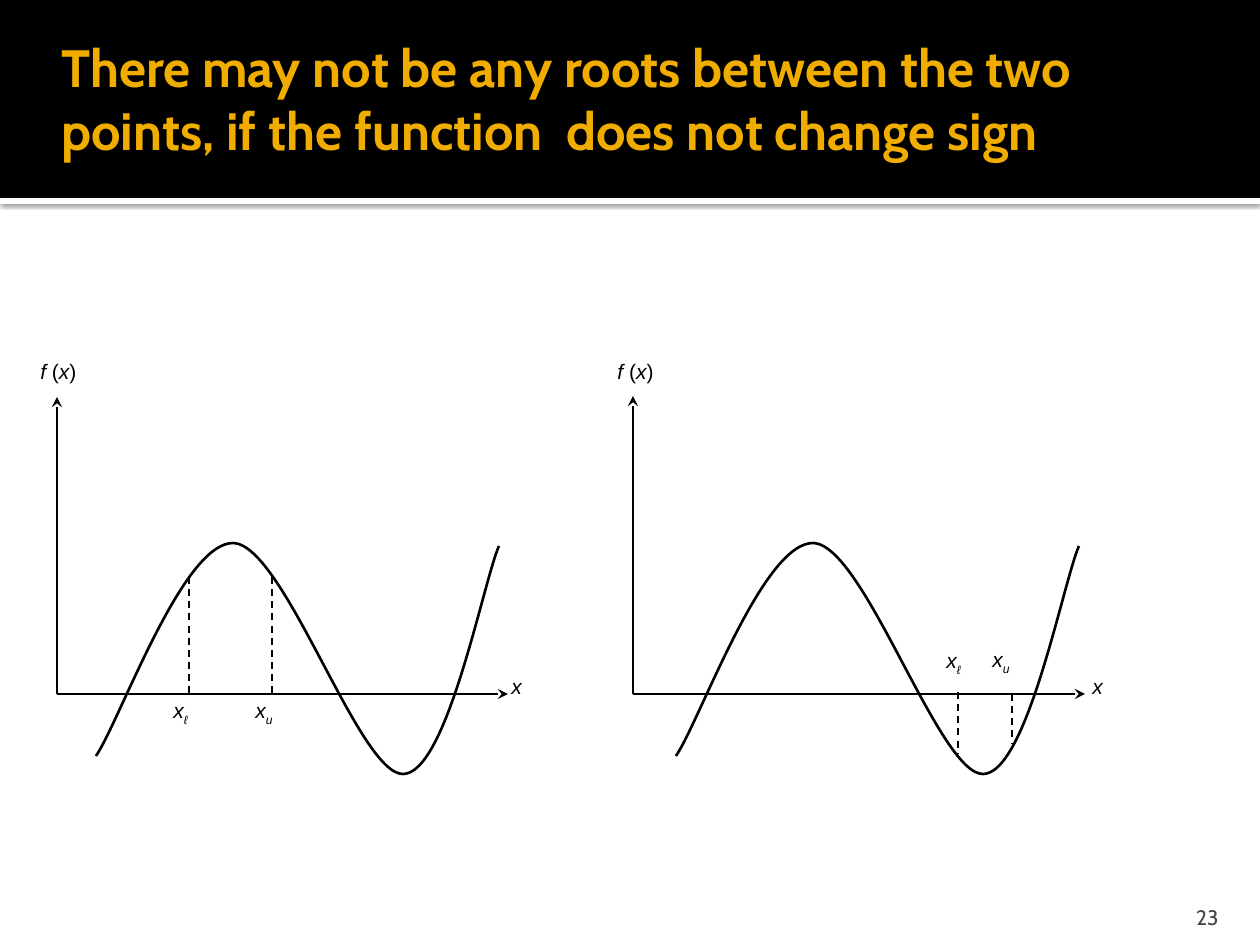
import pptx
import pptx.util
import pptx.dml.color
import pptx.enum.dml
import pptx.enum.shapes
import pptx.enum.text
import pptx.oxml
import pptx.oxml.ns

PX = 914400 / 126
INK = {"black": "000000", "white": "FFFFFF", "gold": "F0AD00", "gray": "454545"}
rgb = {name: pptx.dml.color.RGBColor.from_string(code) for name, code in INK.items()}
NS = 'xmlns:a="http://schemas.openxmlformats.org/drawingml/2006/main"'
align = pptx.enum.text.PP_ALIGN
anchor = pptx.enum.text.MSO_ANCHOR

deck = pptx.Presentation()
deck.slide_width = round(1260 * PX)
deck.slide_height = round(945 * PX)
shapes = deck.slides.add_slide(deck.slide_layouts[6]).shapes


def add_text(box, parts, size=12, face="Arial", ink="black", side=align.JUSTIFY):
    """Add a text box; parts are (text, italic, baseline percent) runs."""
    frame = shapes.add_textbox(*[round(v * PX) for v in box]).text_frame
    frame.word_wrap = True
    par = frame.paragraphs[0]
    par.alignment = side
    par.font.size = pptx.util.Pt(size)
    par.font.name = face
    par.font.color.rgb = rgb[ink]
    for text, slant, base in parts:
        run = par.add_run()
        run.text = text
        run.font.italic = slant
        if base:
            run._r.get_or_add_rPr().set("baseline", str(base * 1000))
    return frame


def add_line(ends, dashed=False):
    """Draw a dashed guide, or an axis with an arrowhead at its end."""
    line = shapes.add_connector(pptx.enum.shapes.MSO_CONNECTOR.STRAIGHT,
                                *[round(v * PX) for v in ends])
    line.line.width = pptx.util.Pt(1)
    line.line.color.rgb = rgb["black"]
    if dashed:
        line.line.dash_style = pptx.enum.dml.MSO_LINE.DASH
    else:
        line.line._get_or_add_ln().append(
            pptx.oxml.parse_xml(f'<a:tailEnd {NS} type="stealth"/>'))
    line._element.spPr.append(pptx.oxml.parse_xml(f"<a:effectLst {NS}/>"))


# Header
for top, high, ink in [(198, 6, "white"), (0, 198, "black")]:
    band = shapes.add_shape(pptx.enum.shapes.MSO_SHAPE.RECTANGLE, 0, round(top * PX),
                            deck.slide_width, round(high * PX))
    band.shadow.inherit = False
    band.fill.solid()
    band.fill.fore_color.rgb = rgb[ink]
    band.line.fill.background()
    if ink == "white":
        band._element.spPr.find(pptx.oxml.ns.qn("a:effectLst")).append(pptx.oxml.parse_xml(
            f'<a:outerShdw {NS} blurRad="31750" dist="10160" dir="5400000" rotWithShape="0">'
            '<a:srgbClr val="000000"><a:alpha val="60000"/></a:srgbClr></a:outerShdw>'))

title = add_text(
    (49, 0, 1134, 196),
    [("There may not be any roots between the two points, "
      "if the function  does not change sign", False, 0)],
    30, "Cabin", "gold", align.LEFT)
title.vertical_anchor = anchor.MIDDLE
title.margin_right = pptx.util.Inches(0.05)
title.paragraphs[0].font.bold = True

# Two plots of the same curve, each with its own pair of guesses
LOW = [("x", True, 0), ("ℓ", True, -30)]
HIGH = [("x", True, 0), ("u", True, -30)]
FX = [("f ", True, 0), ("(", False, 0), ("x", True, 0), (")", False, 0)]
START = (96, 756)
BENDS = [
    [(120, 721), (183, 541), (234, 543)],
    [(285, 547), (359, 774), (403, 774)],
    [(447, 774), (483, 583), (499, 546)],
]
LEFT, TOP = 96, 543
plots = [
    {"axis": 57, "top": 397, "end": 508, "shift": 0, "name": (28, 77), "x": 499,
     "guides": [(189, 577, 694), (272, 577, 694)],
     "marks": [(161, 691, LOW), (243, 691, HIGH)]},
    {"axis": 633, "top": 396, "end": 1085, "shift": 580, "name": (605, 106), "x": 1080,
     "guides": [(958, 692, 753), (1012, 694, 743)],
     "marks": [(934, 641, LOW), (980, 640, HIGH)]},
]
for plot in plots:
    add_line((plot["axis"], 694, plot["axis"], plot["top"]))
    add_line((plot["axis"], 694, plot["end"], 694))
    for x, top, low in plot["guides"]:
        add_line((x, top, x, low), dashed=True)

    left, wide = plot["name"]
    add_text((left, 352, wide, 50), FX)
    for x, y, parts in plot["marks"]:
        add_text((x, y, 68, 52), parts)
    add_text((plot["x"], 667, 68, 53), [("x", True, 0)])

    pen = shapes.build_freeform(START[0] + plot["shift"], START[1], scale=PX)
    pen.add_line_segments([(bend[-1][0] + plot["shift"], bend[-1][1]) for bend in BENDS],
                          close=False)
    wave = pen.convert_to_shape()
    # Bend each straight segment into a cubic one
    for side, bend in zip(list(wave._element.iter(pptx.oxml.ns.qn("a:lnTo"))), BENDS):
        dots = "".join(f'<a:pt x="{x - LEFT}" y="{y - TOP}"/>' for x, y in bend)
        side.getparent().replace(side, pptx.oxml.parse_xml(
            f"<a:cubicBezTo {NS}>{dots}</a:cubicBezTo>"))
    wave.shadow.inherit = False
    wave.fill.background()
    wave.line.color.rgb = rgb["black"]
    wave.line.width = pptx.util.Pt(1.5)

page = add_text((1130, 892, 101, 38), [("23", False, 0)], 12, "Cabin", "gray", align.RIGHT)
page.vertical_anchor = anchor.BOTTOM
page.margin_bottom = 0

deck.save("out.pptx")
